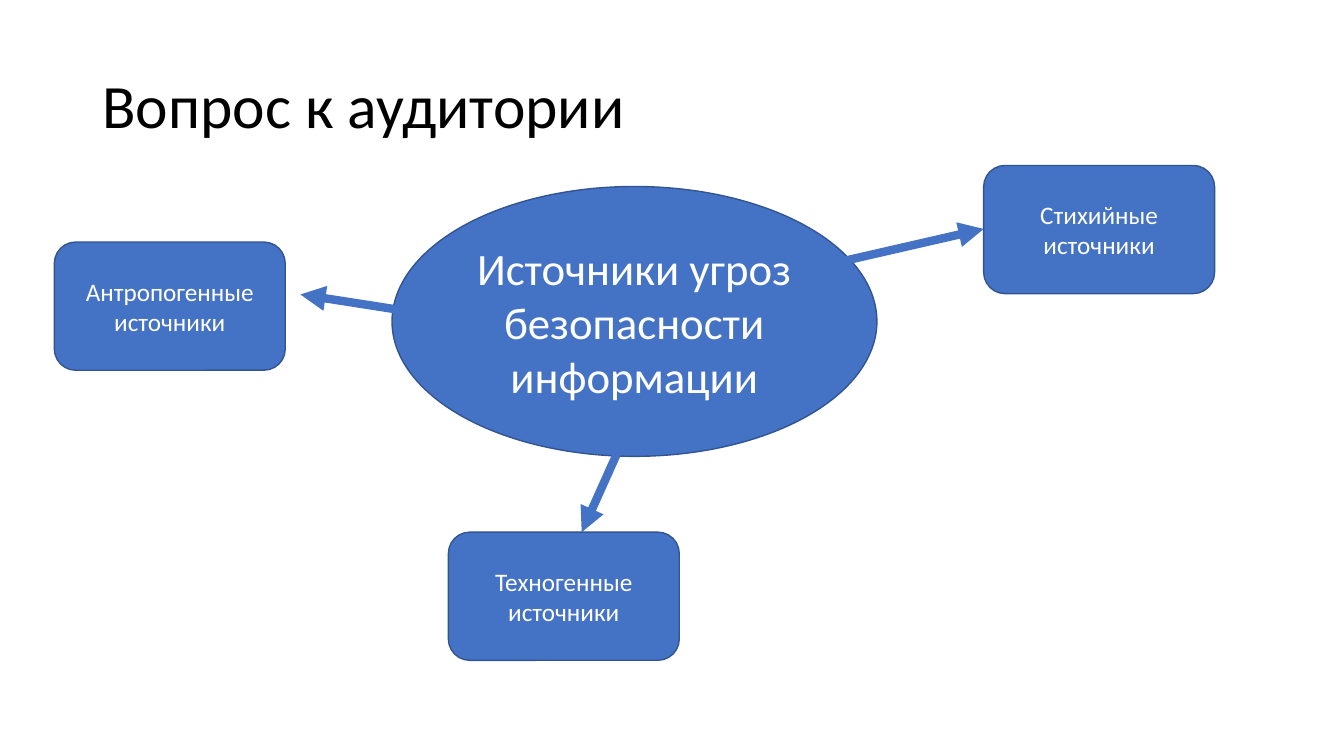
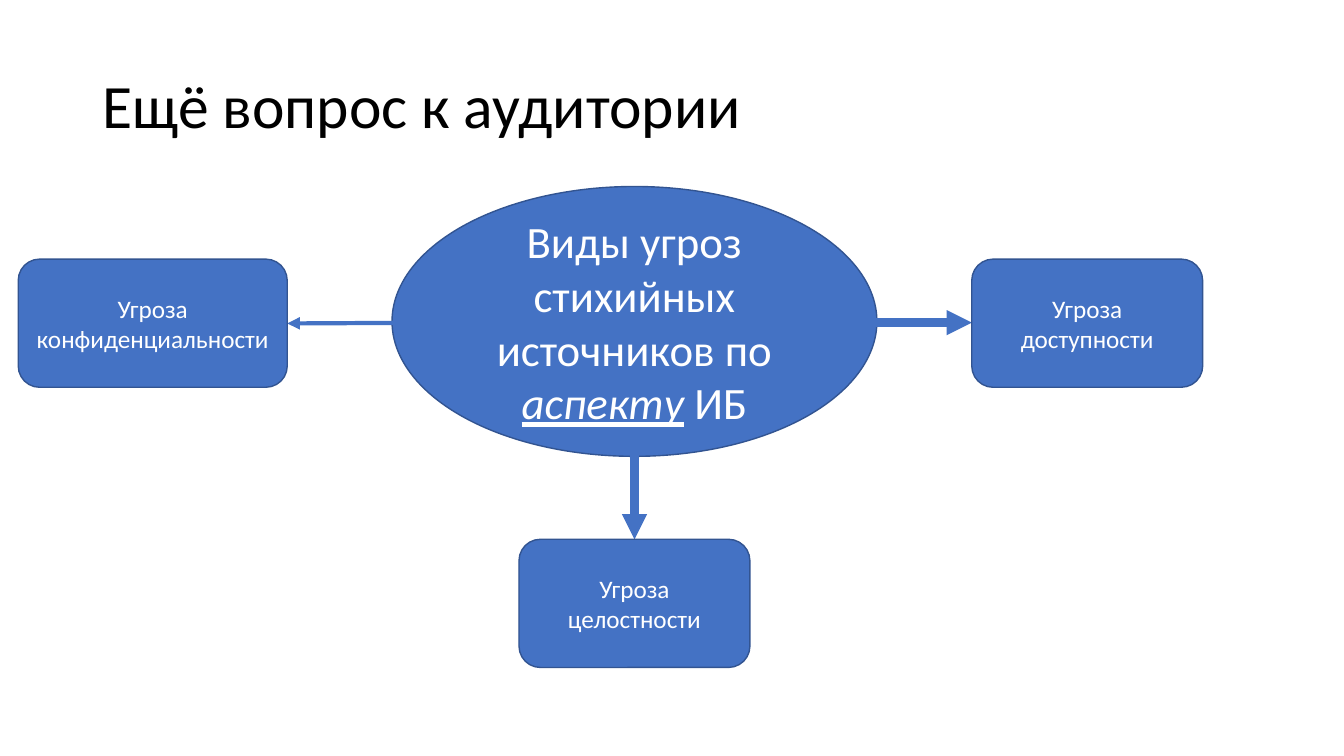
from lxml.etree import SubElement
from pptx import Presentation
from pptx.dml.color import RGBColor
from pptx.enum.shapes import MSO_CONNECTOR, MSO_SHAPE
from pptx.enum.text import MSO_ANCHOR, PP_ALIGN
from pptx.oxml.ns import qn
from pptx.util import Cm, Pt

# Shared style, lengths in centimetres
COLORS = {"fill": "4472C4", "outline": "325491", "light": "FFFFFF", "title": "000000"}
FONT = "Calibri"
TITLE_FRAME = (2.33, 0.9, 29.21, 3.68)
TOPIC_FRAME = (9.88, 4.7, 12.22, 6.8)
BOX_WIDTH, BOX_HEIGHT = 5.82, 3.23
ARROW_WEIGHT = 6

# Content: topic is paragraphs of (text, emphasised) spans
SLIDES = [
    {
        "title": "Вопрос к аудитории",
        "topic": [
            [("Источники угроз", False)],
            [("безопасности информации", False)],
        ],
        "branches": [
            {"text": "Антропогенные источники", "corner": (1.37, 6.1),
             "arrow": ((11.81, 8.08), (7.57, 7.42))},
            {"text": "Техногенные источники", "corner": (11.3, 13.41),
             "arrow": ((15.8, 10.87), (14.66, 13.41))},
            {"text": "Стихийные источники", "corner": (24.79, 4.17),
             "arrow": ((20.68, 6.71), (24.79, 5.77))},
        ],
    },
    {
        "title": "Ещё вопрос к аудитории",
        "topic": [
            [("Виды угроз стихийных источников по ", False),
             ("аспекту", True), (" ИБ", False)],
        ],
        "branches": [
            {"text": "Угроза конфиденциальности", "corner": (0.46, 6.53),
             "width": 6.78, "weight": 3, "arrow": ((11.2, 8.13), (7.24, 8.15))},
            {"text": "Угроза целостности", "corner": (13.08, 13.59),
             "arrow": ((15.99, 10.82), (15.99, 13.59))},
            {"text": "Угроза доступности", "corner": (24.49, 6.53),
             "arrow": ((20.37, 8.13), (24.49, 8.13))},
        ],
    },
]


def color(name):
    return RGBColor.from_string(COLORS[name])


def format_span(span, size, color_name):
    span.font.name = FONT
    span.font.size = Pt(size)
    span.font.color.rgb = color(color_name)


def add_title(page, text):
    title = page.shapes.title
    title.left, title.top, title.width, title.height = map(Cm, TITLE_FRAME)
    title.text_frame.text = text
    title.text_frame.vertical_anchor = MSO_ANCHOR.MIDDLE
    para = title.text_frame.paragraphs[0]
    para.alignment = PP_ALIGN.LEFT
    para.line_spacing = 0.9
    format_span(para.runs[0], 44, "title")


def add_node(page, preset, frame, paragraphs, size):
    node = page.shapes.add_shape(preset, *map(Cm, frame))
    node.shadow.inherit = False
    node.fill.solid()
    node.fill.fore_color.rgb = color("fill")
    node.line.color.rgb = color("outline")
    node.line.width = Pt(1)
    text_frame = node.text_frame
    text_frame.word_wrap = True
    text_frame.vertical_anchor = MSO_ANCHOR.MIDDLE
    for index, spans in enumerate(paragraphs):
        para = text_frame.add_paragraph() if index else text_frame.paragraphs[0]
        para.alignment = PP_ALIGN.CENTER
        for text, emphasised in spans:
            span = para.add_run()
            span.text = text
            format_span(span, size, "light")
            if emphasised:
                span.font.italic = span.font.underline = True


def add_arrow(page, start, end, weight):
    arrow = page.shapes.add_connector(MSO_CONNECTOR.STRAIGHT, *map(Cm, start + end))
    arrow.line.color.rgb = color("fill")
    arrow.line.width = Pt(weight)
    SubElement(arrow.line._get_or_add_ln(), qn("a:tailEnd"), type="triangle")
    SubElement(arrow._element.spPr, qn("a:effectLst"))


def build_slide(deck, content):
    page = deck.slides.add_slide(deck.slide_layouts[5])
    add_title(page, content["title"])
    add_node(page, MSO_SHAPE.OVAL, TOPIC_FRAME, content["topic"], 32)
    # Arrows lie behind the boxes they point to
    for branch in content["branches"]:
        add_arrow(page, *branch["arrow"], branch.get("weight", ARROW_WEIGHT))
    for branch in content["branches"]:
        frame = (*branch["corner"], branch.get("width", BOX_WIDTH), BOX_HEIGHT)
        add_node(page, MSO_SHAPE.ROUNDED_RECTANGLE, frame, [[(branch["text"], False)]], 18)


def main():
    deck = Presentation()
    deck.slide_width, deck.slide_height = Cm(33.87), Cm(19.05)
    for content in SLIDES:
        build_slide(deck, content)
    deck.save("out.pptx")


if __name__ == "__main__":
    main()
